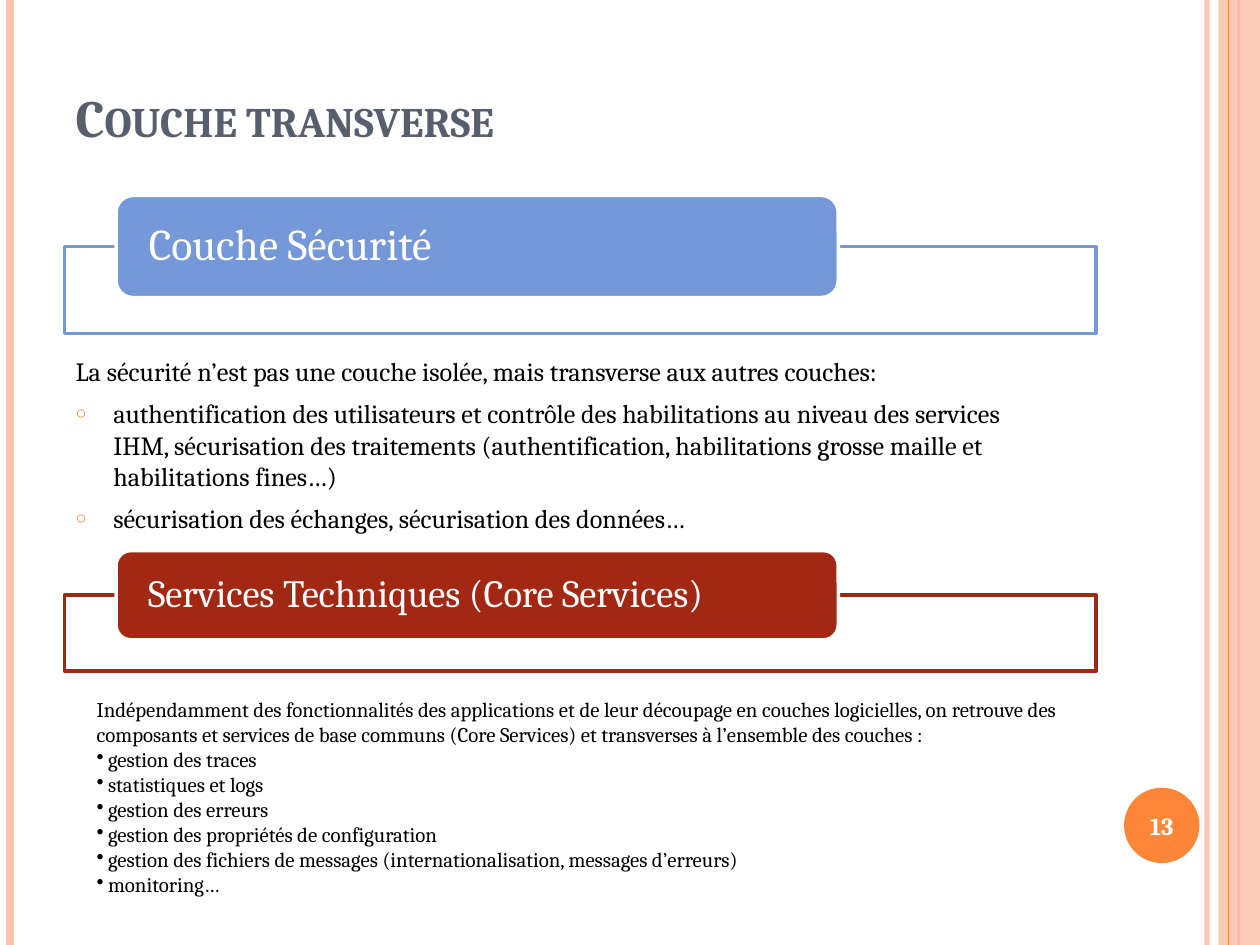
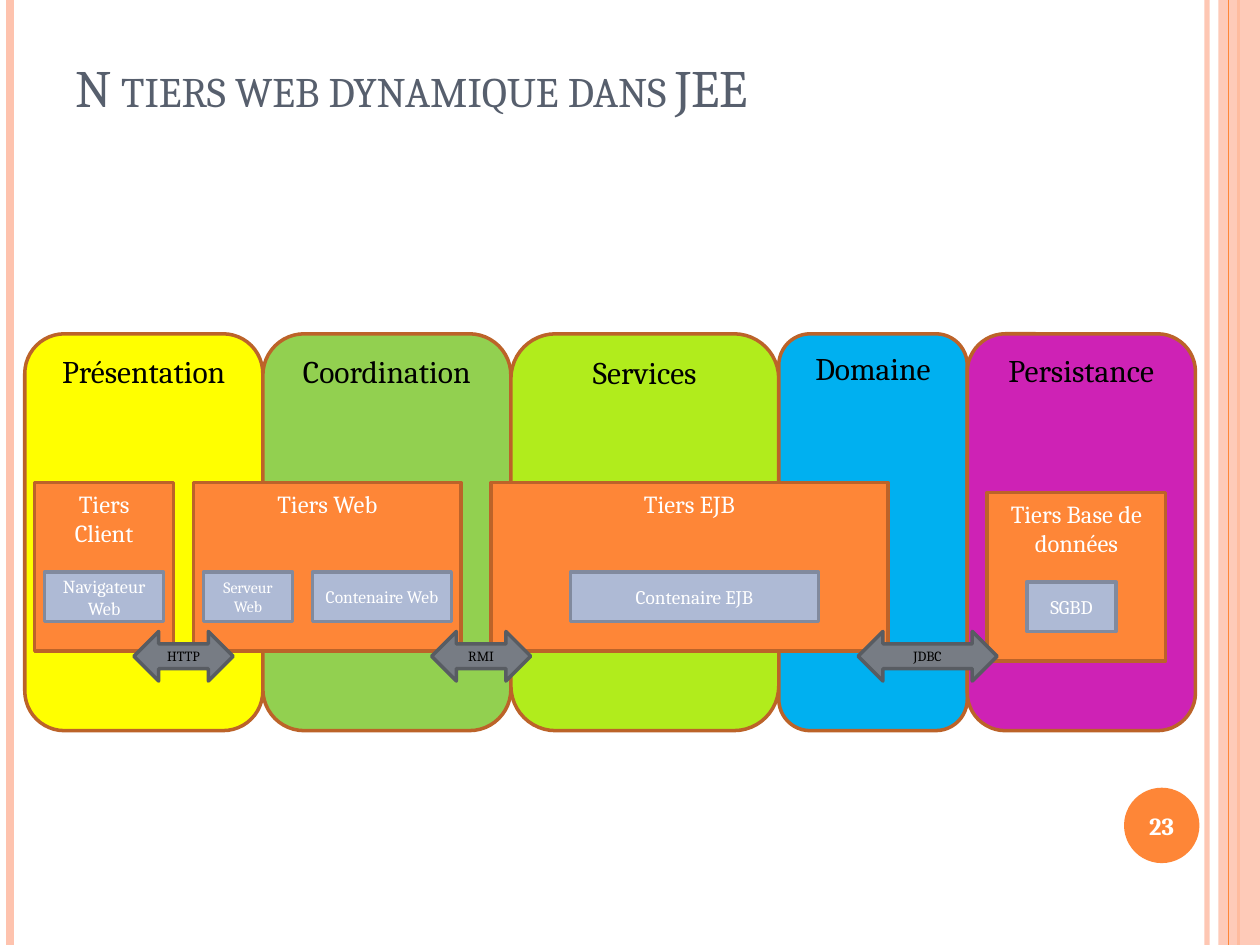
from lxml.etree import SubElement
from pptx import Presentation
from pptx.dml.color import RGBColor
from pptx.enum.shapes import MSO_CONNECTOR, MSO_SHAPE as Shape
from pptx.enum.text import MSO_ANCHOR as Anchor, MSO_AUTO_SIZE, PP_ALIGN as Align
from pptx.oxml.ns import qn
from pptx.util import Cm, Pt

FONT = "Cambria"
WIDTH, HEIGHT = 25.4, 19.05
BLACK = RGBColor(0x00, 0x00, 0x00)
WHITE = RGBColor(0xFF, 0xFF, 0xFF)
SLATE = RGBColor(0x57, 0x5F, 0x6D)
ORANGE = RGBColor(0xFE, 0x86, 0x37)
PEACH = RGBColor(0xFE, 0xC3, 0xAE)
BROWN = RGBColor(0xBC, 0x63, 0x29)
BLUE = RGBColor(0x75, 0x98, 0xD9)
RED = RGBColor(0xA2, 0x28, 0x14)
YELLOW = RGBColor(0xFF, 0xFF, 0x00)
GREEN = RGBColor(0x92, 0xD0, 0x50)
LIME = RGBColor(0xB1, 0xEC, 0x1C)
SKY = RGBColor(0x00, 0xB0, 0xF0)
MAGENTA = RGBColor(0xCE, 0x22, 0xB5)
LAVENDER = RGBColor(0xAE, 0xBA, 0xD5)
LAVENDER_EDGE = RGBColor(0x81, 0x8A, 0x9E)
GREY = RGBColor(0x77, 0x7C, 0x84)
GREY_EDGE = RGBColor(0x58, 0x5C, 0x62)

SECURITY = [
    "La sécurité n’est pas une couche isolée, mais transverse aux autres couches:",
    "authentification des utilisateurs et contrôle des habilitations au niveau des "
    "services IHM, sécurisation des traitements (authentification, habilitations "
    "grosse maille et habilitations fines…)",
    "sécurisation des échanges, sécurisation des données…",
]
CORE_SERVICES = [
    "Indépendamment des fonctionnalités des applications et de leur découpage en "
    "couches logicielles, on retrouve des composants et services de base communs "
    "(Core Services) et transverses à l’ensemble des couches :",
    "gestion des traces",
    "statistiques et logs",
    "gestion des erreurs",
    "gestion des propriétés de configuration",
    "gestion des fichiers de messages (internationalisation, messages d’erreurs)",
    "monitoring…",
]

# Layers: name, width, colour
LAYERS = [
    ("Présentation", 4.8, YELLOW),
    ("Coordination", 5, GREEN),
    ("Services", 5.4, LIME),
    ("Domaine", 3.8, SKY),
    ("Persistance", 4.6, MAGENTA),
]
# Tiers: name, left, top, width, components (name, left in the tier, width, size)
TIERS = [
    ("Tiers Client", 0.2, 3, 2.8, [("Navigateur Web", 0.2, 2.4, 10.5)]),
    ("Tiers Web", 3.4, 3, 5.4, [("Serveur Web", 0.2, 1.8, 9),
                                ("Contenaire Web", 2.4, 2.8, 10)]),
    ("Tiers EJB", 9.4, 3, 8, [("Contenaire EJB", 1.6, 5, 11)]),
    ("Tiers Base de données", 19.4, 3.2, 3.6, [("SGBD", 0.8, 1.8, 11)]),
]
# Protocols: name, left, width
PROTOCOLS = [("HTTP", 2.2, 2), ("RMI", 8.2, 2), ("JDBC", 16.8, 2.8)]


def set_all(target, **values):
    for name, value in values.items():
        setattr(target, name, value)


def set_alpha(shape, percent):
    color = next(shape._element.iter(qn("a:srgbClr")))
    SubElement(color, qn("a:alpha"), val=str(percent * 1000))


def set_bullet(p, char, hang, color=None, percent=100):
    """Hang the paragraph by hang cm; without char it has no bullet."""
    pPr = p._p.get_or_add_pPr()
    pPr.set("marL", str(Cm(hang)))
    pPr.set("indent", str(-Cm(hang)))
    if not char:
        SubElement(pPr, qn("a:buNone"))
        return
    if color is not None:
        SubElement(SubElement(pPr, qn("a:buClr")), qn("a:srgbClr"), val=str(color))
    SubElement(pPr, qn("a:buSzPct"), val=str(percent * 1000))
    SubElement(pPr, qn("a:buChar"), char=char)


def write(p, text, size, color, bold=False):
    r = p.add_run()
    r.text = text
    set_all(r.font, name=FONT, size=Pt(size), bold=bold)
    r.font.color.rgb = color
    return r


def write_list(tf, items, size, char, hang, before=0, color=None, percent=100):
    """An opening paragraph followed by bulleted ones."""
    set_all(tf, word_wrap=True, auto_size=MSO_AUTO_SIZE.NONE)
    for i, item in enumerate(items):
        p = tf.add_paragraph() if i else tf.paragraphs[0]
        p.space_before = Pt(before)
        set_bullet(p, char if i else None, hang if i or before else 0, color, percent)
        write(p, item, size, BLACK)


def place(sp, left, top, width, height):
    set_all(sp, left=Cm(left), top=Cm(top), width=Cm(width), height=Cm(height))


def add_box(s, kind, box, fill, edge=None):
    sp = s.shapes.add_shape(kind, *map(Cm, box))
    sp.shadow.inherit = False
    sp.fill.solid()
    sp.fill.fore_color.rgb = fill
    if edge is None:
        sp.line.fill.background()
    else:
        sp.line.color.rgb = edge
        sp.line.width = Pt(2)
    return sp


def label(sp, text, size, color, anchor=Anchor.MIDDLE, align=Align.CENTER, bold=False):
    set_all(sp.text_frame, word_wrap=True, vertical_anchor=anchor)
    p = sp.text_frame.paragraphs[0]
    p.alignment = align
    write(p, text, size, color, bold)


def add_rule(s, x, color, width):
    line = s.shapes.add_connector(MSO_CONNECTOR.STRAIGHT, Cm(x), 0, Cm(x), Cm(HEIGHT))
    line.line.color.rgb = color
    line.line.width = Pt(width)
    SubElement(line._element.spPr, qn("a:effectLst"))
    return line


def add_frame(s, number):
    """Side bands and page number."""
    set_alpha(add_rule(s, 24.33, PEACH, 3), 93)
    add_rule(s, 0.2, PEACH, 4.5)
    add_rule(s, 24.97, ORANGE, 1.5)
    set_alpha(add_box(s, Shape.RECTANGLE, (24.56, 0, WIDTH - 24.56, HEIGHT), PEACH), 87)
    add_rule(s, 24.76, ORANGE, 0.75)
    badge = add_box(s, Shape.OVAL, (22.66, 15.88, 1.52, 1.52), ORANGE)
    set_all(badge.text_frame, margin_left=0, margin_right=0)
    label(badge, str(number), 14, WHITE, bold=True)


def add_page(prs, layout, title, box, number, bold=False):
    s = prs.slides.add_slide(prs.slide_layouts[layout])
    add_frame(s, number)
    sp = s.shapes.title
    place(sp, *box)
    set_all(sp.text_frame, auto_size=MSO_AUTO_SIZE.NONE, word_wrap=True,
            vertical_anchor=Anchor.BOTTOM)
    p = sp.text_frame.paragraphs[0]
    p.alignment = Align.LEFT
    r = write(p, title, 30, SLATE, bold)
    r.font._element.set("cap", "small")
    return s


def add_heading(s, left, top, width, height, text, size, color):
    """A tab of the given height over an outlined box that starts at its middle."""
    add_box(s, Shape.RECTANGLE, (left, top + height / 2, width, 0.85 * height), WHITE, color)
    tab = add_box(s, Shape.ROUNDED_RECTANGLE,
                  (left + 0.05 * width, top, 0.7 * width, height), color, WHITE)
    set_all(tab.text_frame, margin_left=Cm(0.56), margin_right=Cm(0.56),
            margin_top=0, margin_bottom=0)
    label(tab, text, size, WHITE, align=Align.LEFT)
    tab.text_frame.paragraphs[0].line_spacing = 0.9


def add_layers(s, left, top, height):
    for name, width, color in LAYERS:
        sp = add_box(s, Shape.ROUNDED_RECTANGLE, (left, top, width, height), color, BROWN)
        label(sp, name, 18, BLACK, Anchor.TOP)
        left += width


def add_tiers(s, left, top):
    for name, dx, dy, width, components in TIERS:
        x, y = left + dx, top + dy
        sp = add_box(s, Shape.RECTANGLE, (x, y, width, 3.4), ORANGE, BROWN)
        label(sp, name, 14, WHITE, Anchor.TOP)
        for part, offset, part_width, size in components:
            sp = add_box(s, Shape.RECTANGLE, (x + offset, y + 1.8, part_width, 1),
                         LAVENDER, LAVENDER_EDGE)
            label(sp, part, size, WHITE)


def add_protocols(s, left, top):
    for name, dx, width in PROTOCOLS:
        sp = add_box(s, Shape.LEFT_RIGHT_ARROW, (left + dx, top, width, 1), GREY, GREY_EDGE)
        label(sp, name, 8, BLACK)


def build_cross_layer(prs):
    s = add_page(prs, 1, "Couche transverse", (1.27, 0.76, 20.62, 2.36), 13, bold=True)
    body = s.placeholders[1]
    place(body, 1.27, 7.04, 20.04, 3.48)
    write_list(body.text_frame, SECURITY, 15, "○", 0.76, 6, ORANGE, 70)
    add_heading(s, 1.3, 3.94, 20.8, 2.06, "Couche Sécurité", 25, BLUE)
    add_heading(s, 1.3, 11.1, 20.8, 1.8, "Services Techniques (Core Services)", 22, RED)
    notes = s.shapes.add_textbox(Cm(1.7), Cm(13.92), Cm(20.6), Cm(4.19))
    write_list(notes.text_frame, CORE_SERVICES, 11.9, "•", 0.23)


def build_n_tiers(prs):
    s = add_page(prs, 5, "N tiers web dynamique dans JEE", (1.27, 0.76, 20.75, 1.75), 23)
    left, top = 0.5, 6.73
    add_layers(s, left, top, 8)
    add_tiers(s, left, top)
    add_protocols(s, left, top + 6)


def main():
    prs = Presentation()
    set_all(prs, slide_width=Cm(WIDTH), slide_height=Cm(HEIGHT))
    build_cross_layer(prs)
    build_n_tiers(prs)
    prs.save("out.pptx")


if __name__ == "__main__":
    main()
